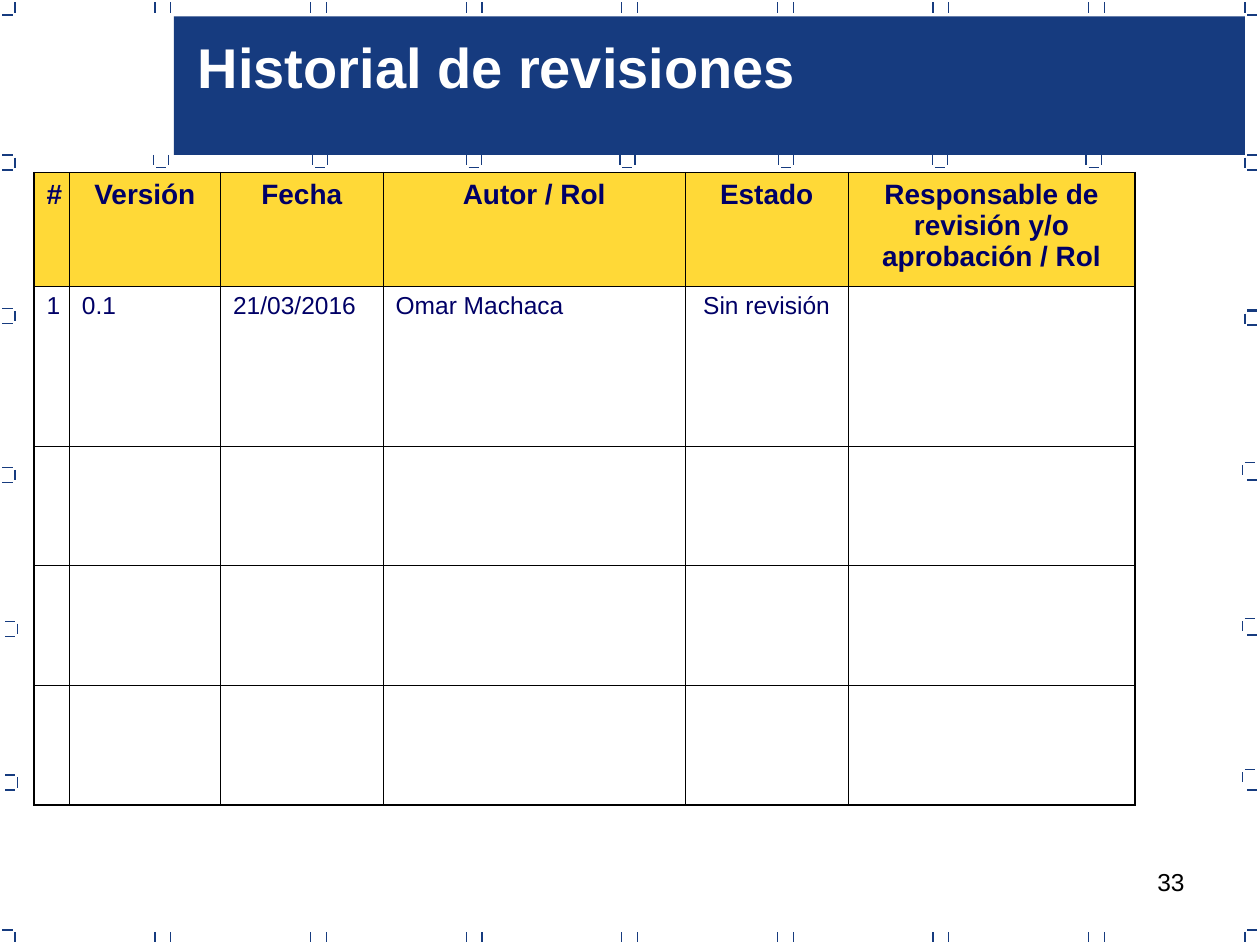
from lxml import etree
from pptx import Presentation
from pptx import util as u
from pptx.dml.color import RGBColor
from pptx.enum import shapes, text
from pptx.oxml.ns import qn

NAVY, INK, GOLD, BLACK, WHITE = "163B7F", "000066", "FFD937", "000000", "FFFFFF"
TITLE = "Historial de revisiones"
PAGE_NUMBER = "33"
ROWS = [
    ["#", "Versión", "Fecha", "Autor / Rol", "Estado",
     "Responsable de revisión y/o aprobación / Rol"],
    ["1", "0.1", "21/03/2016", "Omar Machaca", "Sin revisión", ""],
    [""] * 6,
    [""] * 6,
    [""] * 6,
]
COLUMN_WIDTHS = [0.28, 1.2, 1.29, 2.4, 1.29, 2.28]
ROW_HEIGHTS = [0.9, 1.27, 0.95, 0.95, 0.95]
CENTERED_COLUMNS = (0, 4)
THIN, THICK = 0.45, 1.08

TICK = 0.08
CUPS = [1.22, 2.48, 3.7, 4.92, 6.18, 7.4, 8.62]
LEFT_BRACKETS = [(0.12, 1.25), (0.12, 2.47), (0.12, 3.73), (0.14, 4.95), (0.14, 6.17)]
RIGHT_BRACKETS = [(9.88, 1.25), (9.88, 2.49), (9.86, 3.69), (9.86, 4.93), (9.86, 6.13)]


def color(value):
    return RGBColor.from_string(value)


def inches(*values):
    return [u.Inches(value) for value in values]


def style(paragraph, size, value, bold=False, align=text.PP_ALIGN.LEFT):
    paragraph.alignment = align
    for span in paragraph.runs:
        span.font.name = "Arial"
        span.font.size = u.Pt(size)
        span.font.bold = bold
        span.font.color.rgb = color(value)


def add_tick(page, x, y, across):
    end = (x + TICK, y) if across else (x, y + TICK)
    tick = page.shapes.add_connector(shapes.MSO_CONNECTOR.STRAIGHT, *inches(x, y, *end))
    tick.line.color.rgb = color(NAVY)
    tick.line.width = u.Pt(0.75)
    etree.SubElement(tick._element.spPr, qn("a:effectLst"))


def add_frame(page):
    pairs = [1.23 + 1.235 * i + gap for i in range(7) for gap in (0, 0.125)]
    upright = [(x, y) for x in [0.12, *pairs, 9.88] for y in (0.02, 7.4)]
    upright += [(x + gap, 1.23) for x in CUPS for gap in (0, 0.12)]
    upright += LEFT_BRACKETS + RIGHT_BRACKETS

    flat = [(x, y) for x in (0.02, 9.9) for y in (0.12, 7.38)]
    flat += [(x + 0.02, 1.33) for x in CUPS]
    flat += [(x - 0.1, y + gap) for x, y in LEFT_BRACKETS for gap in (-0.02, 0.1)]
    flat += [(x + 0.02, y - 0.02) for x, y in RIGHT_BRACKETS]
    flat += [(9.9, 1.35 + 1.23 * i) for i in range(5)] + [(9.9, 2.46)]

    for points, across in ((upright, False), (flat, True)):
        for x, y in points:
            add_tick(page, x, y, across)


def add_banner(page):
    banner = page.shapes.add_shape(shapes.MSO_SHAPE.RECTANGLE, *inches(1.38, 0.13, 8.5, 1.1))
    banner.shadow.inherit = False
    banner.fill.solid()
    banner.fill.fore_color.rgb = color(NAVY)
    banner.line.fill.background()


def add_title(page):
    title = page.shapes.title
    title.left, title.top, title.width, title.height = inches(1.47, 0.21, 4.95, 0.64)
    frame = title.text_frame
    frame.text = TITLE
    frame.word_wrap = False
    frame.auto_size = text.MSO_AUTO_SIZE.SHAPE_TO_FIT_TEXT
    frame.vertical_anchor = text.MSO_ANCHOR.TOP
    style(frame.paragraphs[0], 32, WHITE, True)
    page.shapes._spTree.append(title._element)


def add_page_number(page):
    box = page.shapes.add_textbox(*inches(7.17, 6.83, 2.33, 0.52))
    box.text_frame.word_wrap = True
    box.text_frame.text = PAGE_NUMBER
    style(box.text_frame.paragraphs[0], 14, BLACK, align=text.PP_ALIGN.RIGHT)


def set_borders(cell, row, column):
    outer = {"L": column == 0, "R": column == len(COLUMN_WIDTHS) - 1,
             "T": row == 0, "B": row == len(ROWS) - 1}
    properties = cell._tc.get_or_add_tcPr()
    for position, (side, on_edge) in enumerate(outer.items()):
        line = etree.Element(qn("a:ln" + side), w=str(u.Pt(THICK if on_edge else THIN)))
        fill = etree.SubElement(line, qn("a:solidFill"))
        etree.SubElement(fill, qn("a:srgbClr"), val=BLACK)
        properties.insert(position, line)


def fill_cell(cell, row, column):
    header = row == 0
    if header:
        cell.fill.solid()
        cell.fill.fore_color.rgb = color(GOLD)
    else:
        cell.fill.background()
    set_borders(cell, row, column)
    cell.text_frame.text = ROWS[row][column]
    centered = header or column in CENTERED_COLUMNS
    align = text.PP_ALIGN.CENTER if centered else text.PP_ALIGN.LEFT
    style(cell.text_frame.paragraphs[0], 16 if header else 14, INK, header, align)


def add_history(page):
    size = inches(sum(COLUMN_WIDTHS), sum(ROW_HEIGHTS))
    table = page.shapes.add_table(len(ROWS), len(COLUMN_WIDTHS), *inches(0.27, 1.37), *size).table
    table.first_row = table.horz_banding = False
    for column, width in zip(table.columns, COLUMN_WIDTHS):
        column.width = u.Inches(width)
    for row, height in zip(table.rows, ROW_HEIGHTS):
        row.height = u.Inches(height)
    for row in range(len(ROWS)):
        for column in range(len(COLUMN_WIDTHS)):
            fill_cell(table.cell(row, column), row, column)


def main():
    deck = Presentation()
    deck.slide_width, deck.slide_height = inches(10, 7.5)
    page = deck.slides.add_slide(deck.slide_layouts[5])
    add_page_number(page)
    add_frame(page)
    add_banner(page)
    add_title(page)
    add_history(page)
    deck.save("out.pptx")


if __name__ == "__main__":
    main()
